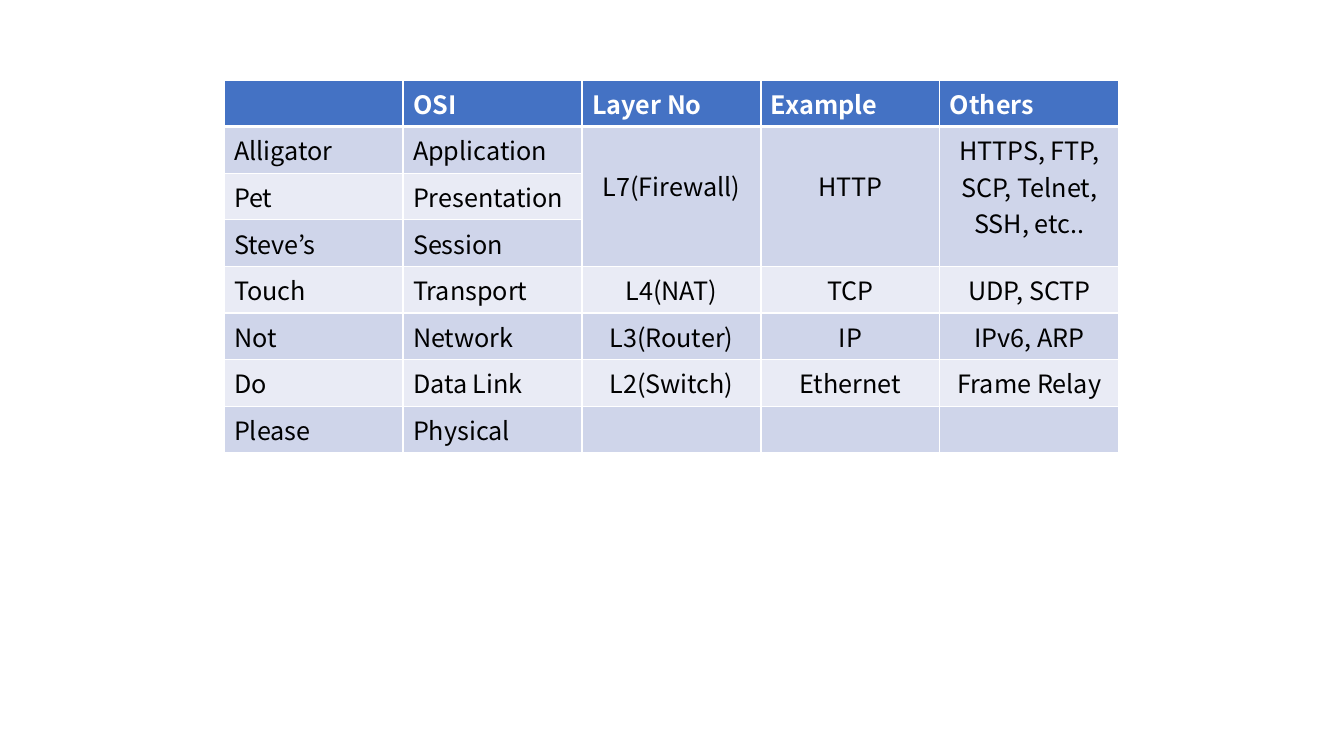
from lxml import etree
from pptx import Presentation
from pptx.dml.color import RGBColor
from pptx.enum.text import PP_ALIGN
from pptx.oxml.ns import qn
from pptx.util import Emu, Pt

LEFT, CENTER = PP_ALIGN.LEFT, PP_ALIGN.CENTER
PX = 914400 / 100.8
FONT = "Noto Sans CJK KR"
COLORS = {"header": "4472C4", "odd": "CFD5EA", "even": "E9EBF5",
          "white": "FFFFFF", "black": "000000"}
ROWS = [
    ("", "OSI", "Layer No", "Example", "Others"),
    ("Alligator", "Application", "L7(Firewall)", "HTTP",
     "HTTPS, FTP, SCP, Telnet, SSH, etc.."),
    ("Pet", "Presentation", "", "", ""),
    ("Steve’s", "Session", "", "", ""),
    ("Touch", "Transport", "L4(NAT)", "TCP", "UDP, SCTP"),
    ("Not", "Network", "L3(Router)", "IP", "IPv6, ARP"),
    ("Do", "Data Link", "L2(Switch)", "Ethernet", "Frame Relay"),
    ("Please", "Physical", "", "", ""),
]
TABLE_LEFT, TABLE_TOP, COL_WIDTH, ROW_HEIGHT = 224, 80, 179, 41
MERGED_COLS, MERGED_TOP, MERGED_BOTTOM = (2, 3, 4), 1, 3
SECOND_LINE_COLS, SECOND_LINE_MARGIN = (2, 3), 41


def px(n):
    return Emu(round(n * PX))


def write(cell, text, color="black", bold=False, align=LEFT):
    p = cell.text_frame.paragraphs[0]
    p.alignment = align
    p.font.size = Pt(18)
    if text:
        r = p.add_run()
        r.text = text
        r.font.name = FONT
        r.font.size = Pt(18)
        r.font.bold = bold
        r.font.color.rgb = RGBColor.from_string(COLORS[color])


def set_borders(cell, top=1, bottom=1):
    tc_pr = cell._tc.get_or_add_tcPr()
    widths = {"a:lnL": 1, "a:lnR": 1, "a:lnT": top, "a:lnB": bottom}
    for i, (tag, width) in enumerate(widths.items()):
        ln = etree.Element(qn(tag), w=str(Pt(width)))
        fill = etree.SubElement(ln, qn("a:solidFill"))
        etree.SubElement(fill, qn("a:srgbClr"), val=COLORS["white"])
        tc_pr.insert(i, ln)


prs = Presentation()
prs.slide_width, prs.slide_height = px(1344), px(756)
s = prs.slides.add_slide(prs.slide_layouts[6])
n_rows, n_cols = len(ROWS), len(ROWS[0])
table = s.shapes.add_table(n_rows, n_cols, px(TABLE_LEFT), px(TABLE_TOP),
                           px(COL_WIDTH * n_cols), px(ROW_HEIGHT * n_rows)).table
for col in table.columns:
    col.width = px(COL_WIDTH)
for row in table.rows:
    row.height = px(ROW_HEIGHT)

for i, texts in enumerate(ROWS):
    header = i == 0
    band = "header" if header else "odd" if i % 2 else "even"
    for j, text in enumerate(texts):
        cell = table.cell(i, j)
        cell.fill.solid()
        cell.fill.fore_color.rgb = RGBColor.from_string(COLORS[band])
        set_borders(cell, top=3 if i == 1 else 1, bottom=3 if header else 1)
        write(cell, text, color="white" if header else "black", bold=header,
              align=CENTER if j in MERGED_COLS and not header else LEFT)

for j in MERGED_COLS:
    cell = table.cell(MERGED_TOP, j)
    cell.merge(table.cell(MERGED_BOTTOM, j))
    if j in SECOND_LINE_COLS:
        cell.margin_top = px(SECOND_LINE_MARGIN)

prs.save("out.pptx")
